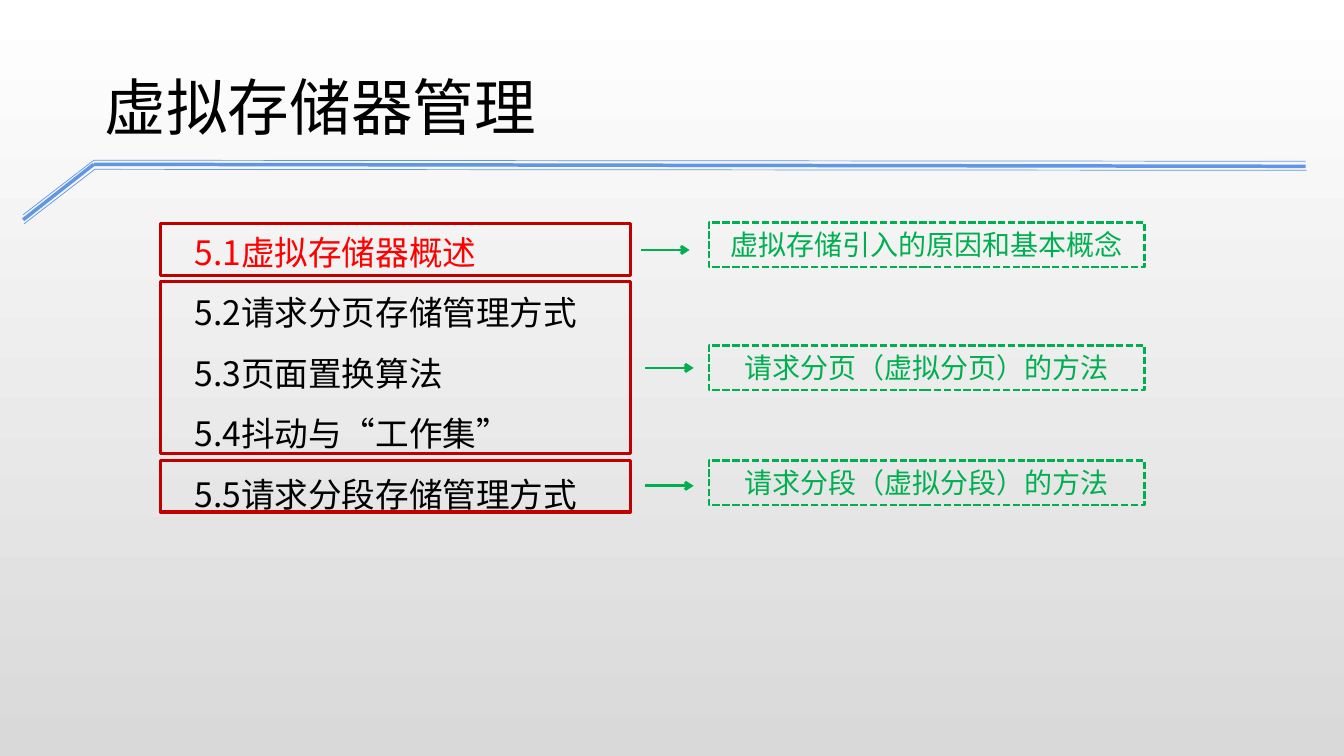
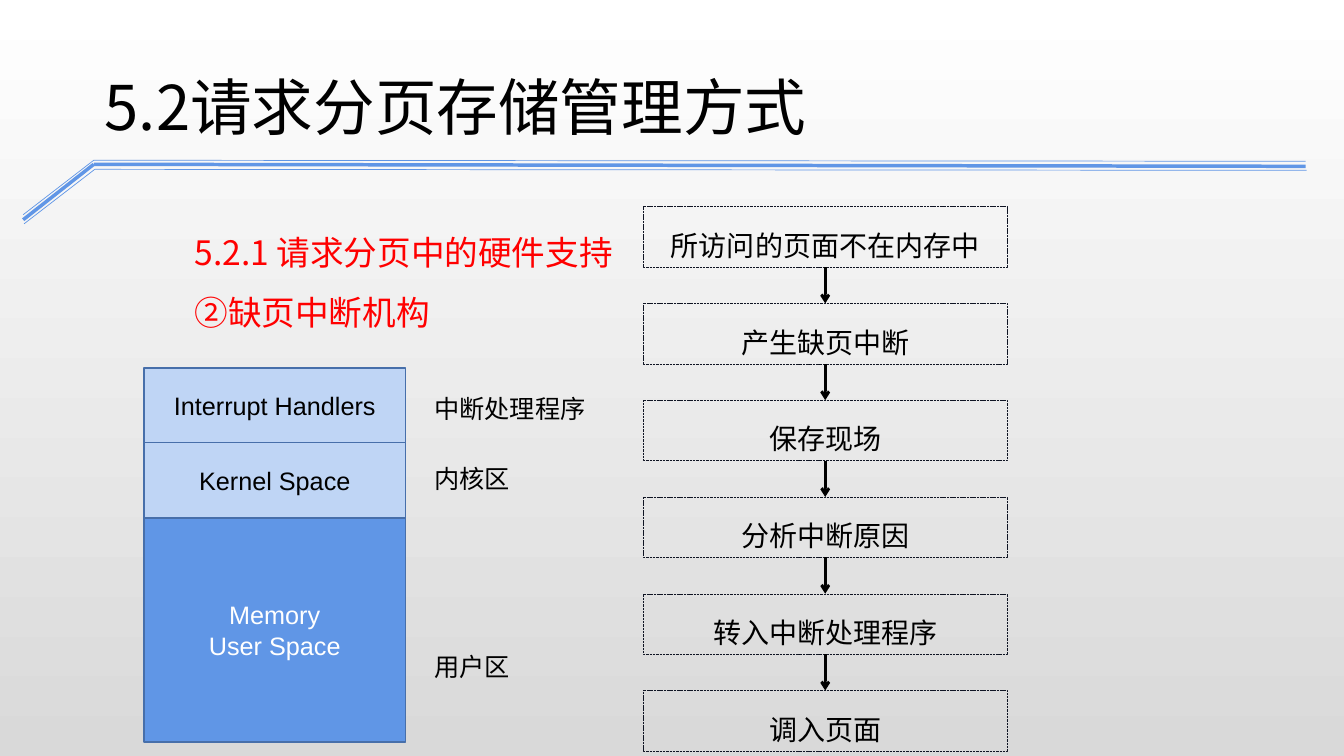
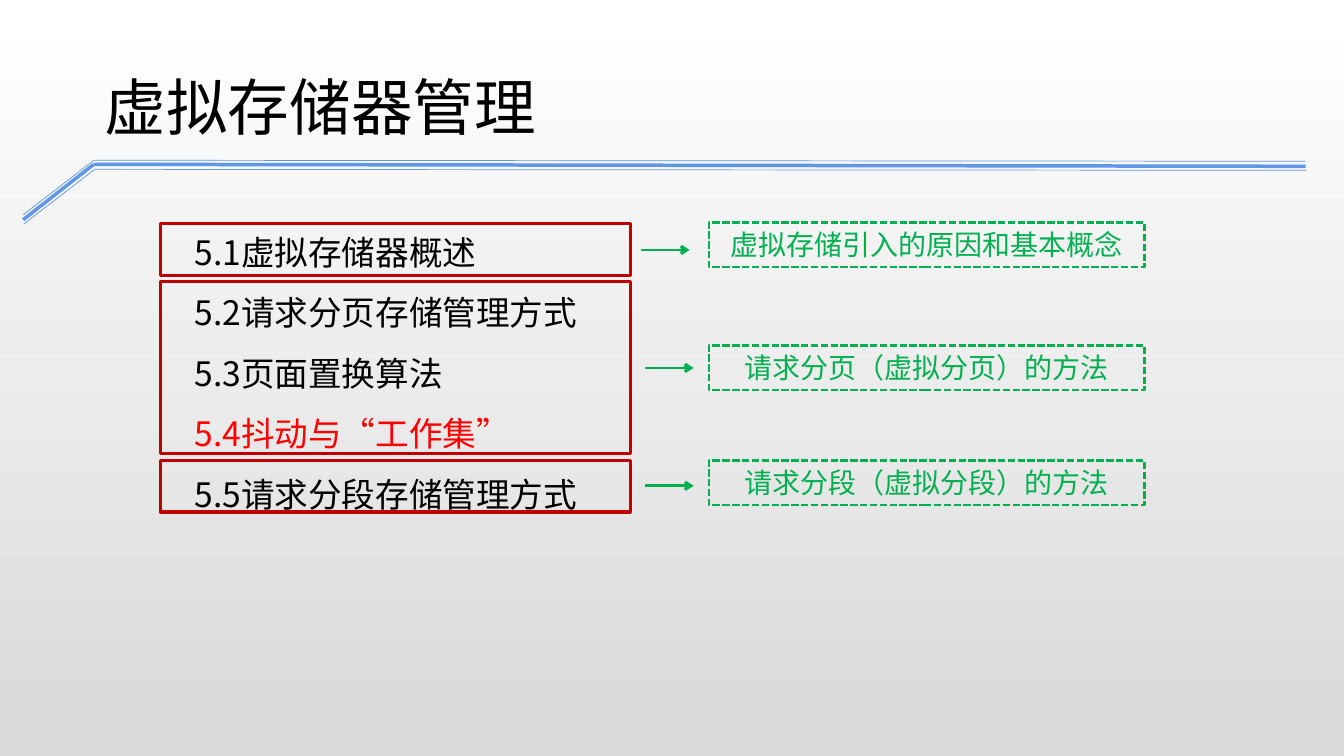
from lxml.etree import SubElement
from pptx import Presentation
from pptx.dml.color import RGBColor
from pptx.enum.dml import MSO_LINE_DASH_STYLE as Dash
from pptx.enum.lang import MSO_LANGUAGE_ID as Language
from pptx.enum.shapes import MSO_CONNECTOR as Connector, MSO_SHAPE as Shape
from pptx.enum.text import MSO_ANCHOR as Anchor, PP_ALIGN as Align
from pptx.oxml.ns import qn
from pptx.util import Inches, Pt

CJK = "Noto Sans CJK JP"
BLACK, WHITE, RED = "000000", "FFFFFF", "FF0000"
BLUE, PALE_BLUE, DARK_BLUE = "6096E6", "BFD5F5", "476FAA"
GREEN, DARK_RED, INK, GRAY = "00B050", "C00000", "0F1423", "D9D9D9"

RAILS = [
    ([(0.23, 2.13), (0.93, 1.59), (12.95, 1.6)], 0.5),
    ([(0.23, 2.18), (0.93, 1.63), (12.95, 1.65)], 2.5),
    ([(0.24, 2.22), (0.94, 1.68), (12.96, 1.69)], 0.5),
]

CHAPTER = "虚拟存储器管理"
SECTIONS = [
    "5.1虚拟存储器概述",
    "5.2请求分页存储管理方式",
    "5.3页面置换算法",
    "5.4抖动与“工作集”",
    "5.5请求分段存储管理方式",
]
GROUPS = [
    {"top": 2.22, "height": 0.51, "note": "虚拟存储引入的原因和基本概念", "note_top": 2.21, "arrow": (6.36, 2.48)},
    {"top": 2.79, "height": 1.71, "note": "请求分页（虚拟分页）的方法", "note_top": 3.43, "arrow": (6.4, 3.65)},
    {"top": 4.57, "height": 0.51, "note": "请求分段（虚拟分段）的方法", "note_top": 4.57, "arrow": (6.4, 4.82)},
]

PAGING_TITLE = "5.2请求分页存储管理方式"
PAGING_TOPICS = ["5.2.1 请求分页中的硬件支持", "②缺页中断机构"]
STEPS = ["所访问的页面不在内存中", "产生缺页中断", "保存现场", "分析中断原因", "转入中断处理程序", "调入页面"]
STEP_TOP, STEP_PITCH = 2.05, 0.96
MEMORY = [
    (["Interrupt Handlers"], 0.74, PALE_BLUE, BLACK, "中断处理程序", 3.85),
    (["Kernel Space"], 0.75, PALE_BLUE, BLACK, "内核区", 4.55),
    (["Memory", "User Space"], 2.22, BLUE, WHITE, "用户区", 6.41),
]


def rgb(color):
    return RGBColor.from_string(color)


def write(shape, lines, size=20, color=BLACK, colors=None, font=CJK, align=Align.LEFT,
          anchor=Anchor.TOP, spacing=1.0):
    frame = shape.text_frame
    frame.word_wrap = True
    frame.vertical_anchor = anchor
    frame.text = "\n".join(lines)
    for index, paragraph in enumerate(frame.paragraphs):
        paragraph.alignment = align
        paragraph.line_spacing = Pt(size * 1.2 * spacing)
        for run in paragraph.runs:
            run.font.size = Pt(size)
            run.font.name = font
            run.font.color.rgb = rgb((colors or {}).get(index, color))
            run.font.language_id = Language.SIMPLIFIED_CHINESE
            SubElement(run.font._element, qn("a:ea"), typeface=CJK)


def add_text(slide, lines, left, top, width, height, **style):
    shape = slide.shapes.add_textbox(Inches(left), Inches(top), Inches(width), Inches(height))
    write(shape, lines, **style)


def add_box(slide, left, top, width, height, line, weight, fill=None, dash=None):
    shape = slide.shapes.add_shape(
        Shape.RECTANGLE, Inches(left), Inches(top), Inches(width), Inches(height))
    shape.shadow.inherit = False
    if fill:
        shape.fill.solid()
        shape.fill.fore_color.rgb = rgb(fill)
    else:
        shape.fill.background()
    shape.line.color.rgb = rgb(line)
    shape.line.width = Pt(weight)
    if dash:
        shape.line.dash_style = dash
    return shape


def add_line(slide, start, end, color, weight, arrow=False):
    x1, y1, x2, y2 = (Inches(value) for value in (*start, *end))
    connector = slide.shapes.add_connector(Connector.STRAIGHT, x1, y1, x2, y2)
    connector.line.color.rgb = rgb(color)
    connector.line.width = Pt(weight)
    if arrow:
        SubElement(connector.line._get_or_add_ln(), qn("a:tailEnd"), type="arrow")
    SubElement(connector._element.spPr, qn("a:effectLst"))
    return connector


def set_background(master):
    fill = master.background.fill
    fill.gradient()
    fill.gradient_angle = 270
    for stop, color, position in zip(fill.gradient_stops, (WHITE, GRAY), (0, 1)):
        stop.color.rgb = rgb(color)
        stop.position = position


def add_slide(presentation, title):
    slide = presentation.slides.add_slide(presentation.slide_layouts[6])
    for points, weight in RAILS:
        for start, end in zip(points, points[1:]):
            add_line(slide, start, end, BLUE, weight)
    add_text(slide, [title], 0.94, 0.63, 9.52, 1.58, size=44)
    return slide


def add_outline(presentation, current):
    slide = add_slide(presentation, CHAPTER)
    add_text(slide, SECTIONS, 1.83, 2.05, 11.45, 3.73, size=24, spacing=1.5, colors={current: RED})
    for group in GROUPS:
        add_box(slide, 1.59, group["top"], 4.66, group["height"], DARK_RED, 2.25)
        note = add_box(slide, 7.03, group["note_top"], 4.32, 0.44, GREEN, 1.75, dash=Dash.SQUARE_DOT)
        write(note, [group["note"]], color=GREEN, align=Align.CENTER)
        x, y = group["arrow"]
        add_line(slide, (x, y), (x + 0.48, y), GREEN, 2, arrow=True)


def add_steps(slide):
    previous = None
    for index, step in enumerate(STEPS):
        top = STEP_TOP + index * STEP_PITCH
        box = add_box(slide, 6.38, top, 3.61, 0.6, INK, 0.25, dash=Dash.SQUARE_DOT)
        write(box, [step], align=Align.CENTER, spacing=1.5)
        if previous:
            arrow = add_line(slide, (8.18, top - 0.36), (8.18, top), BLACK, 2, arrow=True)
            arrow.begin_connect(previous, 2)
            arrow.end_connect(box, 0)
        previous = box


def add_memory(slide):
    top = 3.65
    for lines, height, fill, color, label, label_top in MEMORY:
        block = add_box(slide, 1.43, top, 2.59, height, DARK_BLUE, 1, fill=fill)
        write(block, lines, size=18, color=color, font="Arial", align=Align.CENTER, anchor=Anchor.MIDDLE)
        add_text(slide, [label], 4.21, label_top, 1.83, 0.4, size=18, font="Arial")
        top += height


def add_paging(presentation):
    slide = add_slide(presentation, PAGING_TITLE)
    add_text(slide, PAGING_TOPICS, 1.83, 2.05, 11.31, 1.92, size=24, color=RED, spacing=1.5)
    add_steps(slide)
    add_memory(slide)


def main():
    presentation = Presentation()
    presentation.slide_width, presentation.slide_height = Inches(13.33), Inches(7.5)
    set_background(presentation.slide_master)
    add_outline(presentation, 0)
    add_paging(presentation)
    add_outline(presentation, 3)
    presentation.save("out.pptx")


if __name__ == "__main__":
    main()
